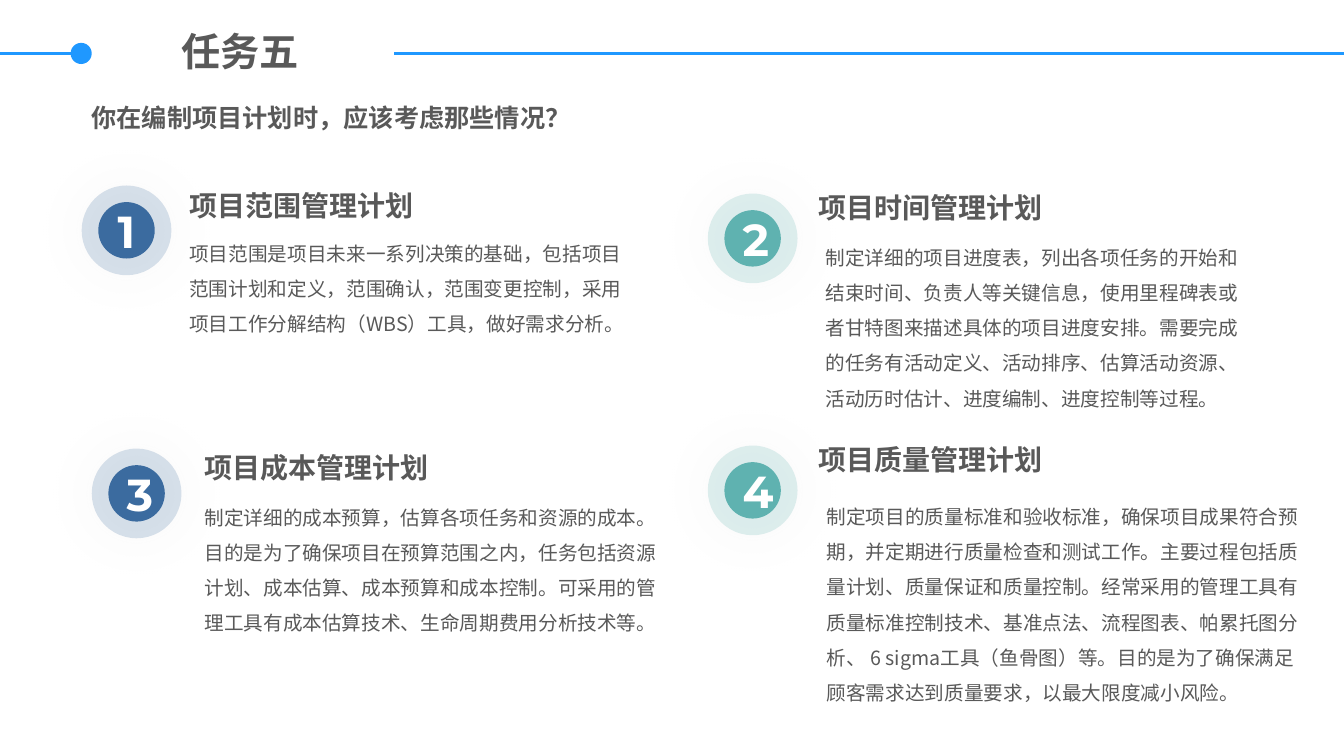
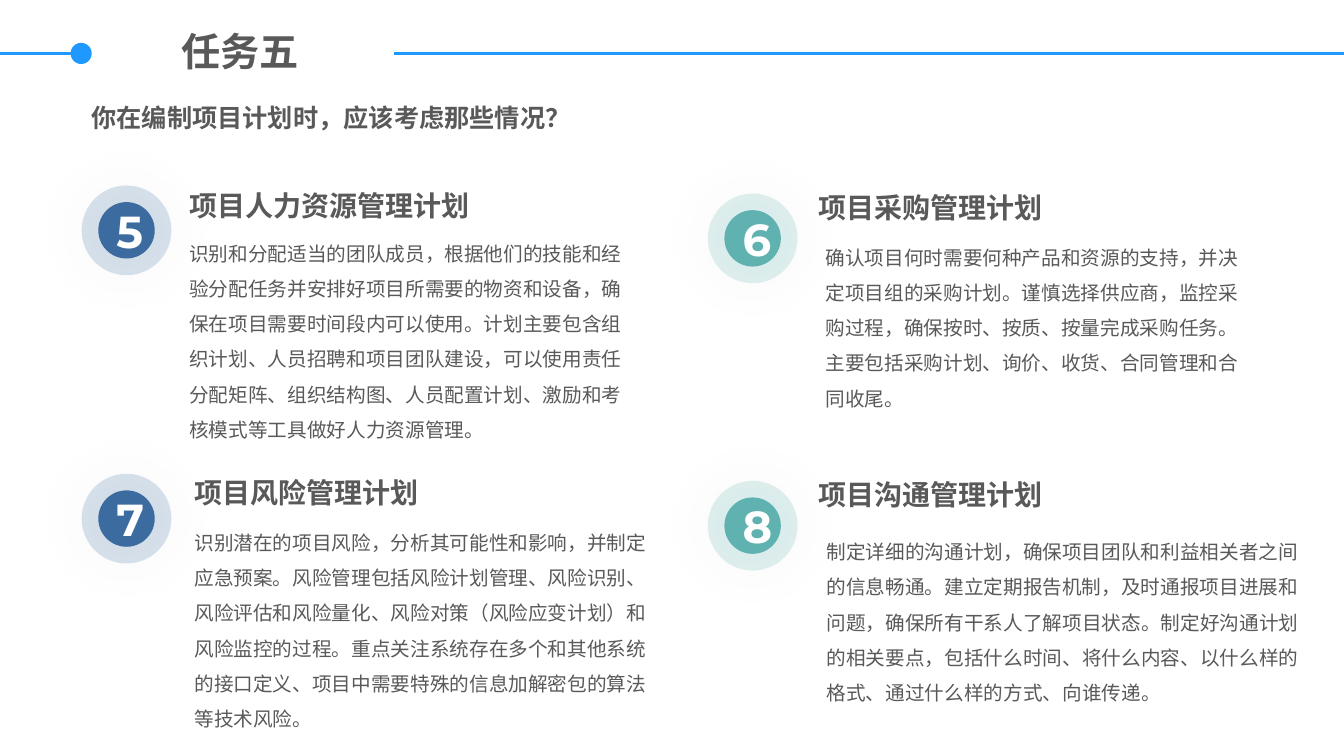
from dataclasses import dataclass

from lxml import etree
from pptx import Presentation
from pptx.dml.color import RGBColor
from pptx.enum.lang import MSO_LANGUAGE_ID
from pptx.enum.shapes import MSO_CONNECTOR, MSO_SHAPE
from pptx.enum.text import MSO_ANCHOR, MSO_AUTO_SIZE, PP_ALIGN
from pptx.oxml.ns import qn
from pptx.util import Inches, Pt

OVAL = MSO_SHAPE.OVAL
STRAIGHT = MSO_CONNECTOR.STRAIGHT
TOP, MIDDLE = MSO_ANCHOR.TOP, MSO_ANCHOR.MIDDLE
LEFT, CENTER = PP_ALIGN.LEFT, PP_ALIGN.CENTER
GROW = MSO_AUTO_SIZE.SHAPE_TO_FIT_TEXT
CHINESE = MSO_LANGUAGE_ID.SIMPLIFIED_CHINESE
TITLE_ONLY = 5

SLIDE_W, SLIDE_H = 13.33, 7.5
BAND_Y = 0.53
DOT = 0.21
RING, DISC = 0.89, 0.56
LEFT_COL, RIGHT_COL = 0.81, 7.02


@dataclass(frozen=True)
class Theme:
    text: str = "595959"
    band: str = "1F98FF"
    blue: str = "3B6B9F"
    teal: str = "5FB2B0"
    white: str = "FFFFFF"
    shadow: str = "BFBFBF"
    chinese: str = "Noto Sans CJK SC"
    digits: str = "Montserrat"
    title: int = 28
    question: int = 18
    heading: int = 20
    body: int = 14
    number: int = 32


THEME = Theme()


@dataclass(frozen=True)
class Slot:
    """Offsets of a card's texts from the top left corner of its ring."""
    colour: str
    heading_dx: float
    heading_dy: float
    body_dx: float
    body_dy: float
    body_w: float


TOP_LEFT = Slot(THEME.blue, 0.97, -0.02, 0.97, 0.39, 4.53)
TOP_RIGHT = Slot(THEME.teal, 1.0, -0.08, 1.07, 0.35, 4.43)
LOW_LEFT = Slot(THEME.blue, 1.02, -0.03, 1.02, 0.4, 4.81)
LOW_RIGHT = Slot(THEME.teal, 1.0, -0.08, 1.08, 0.42, 4.91)


@dataclass(frozen=True)
class Card:
    number: int
    slot: Slot
    left: float
    top: float
    lines: int
    heading: str
    body: str


TITLE = "任务五"
QUESTION = "你在编制项目计划时，应该考虑那些情况？"
PAGES = [
    [
        Card(1, TOP_LEFT, LEFT_COL, 1.84, 3, "项目范围管理计划",
             "项目范围是项目未来一系列决策的基础，包括项目范围计划和定义，范围确认，"
             "范围变更控制，采用项目工作分解结构（WBS）工具，做好需求分析。"),
        Card(2, TOP_RIGHT, RIGHT_COL, 1.92, 5, "项目时间管理计划",
             "制定详细的项目进度表，列出各项任务的开始和结束时间、负责人等关键信息，"
             "使用里程碑表或者甘特图来描述具体的项目进度安排。需要完成的任务有活动定义、"
             "活动排序、估算活动资源、活动历时估计、进度编制、进度控制等过程。"),
        Card(3, LOW_LEFT, LEFT_COL + 0.1, 4.45, 4, "项目成本管理计划",
             "制定详细的成本预算，估算各项任务和资源的成本。目的是为了确保项目在预算范围之内，"
             "任务包括资源计划、成本估算、成本预算和成本控制。"
             "可采用的管理工具有成本估算技术、生命周期费用分析技术等。"),
        Card(4, LOW_RIGHT, RIGHT_COL, 4.42, 6, "项目质量管理计划",
             "制定项目的质量标准和验收标准，确保项目成果符合预期，并定期进行质量检查和测试工作。"
             "主要过程包括质量计划、质量保证和质量控制。经常采用的管理工具有质量标准控制技术、"
             "基准点法、流程图表、帕累托图分析、 6 sigma工具（鱼骨图）等。"
             "目的是为了确保满足顾客需求达到质量要求，以最大限度减小风险。"),
    ],
    [
        Card(5, TOP_LEFT, LEFT_COL, 1.84, 6, "项目人力资源管理计划",
             "识别和分配适当的团队成员，根据他们的技能和经验分配任务并安排好项目所需要的物资和设备，"
             "确保在项目需要时间段内可以使用。计划主要包含组织计划、人员招聘和项目团队建设，"
             "可以使用责任分配矩阵、组织结构图、人员配置计划、激励和考核模式等工具做好人力资源管理。"),
        Card(6, TOP_RIGHT, RIGHT_COL, 1.92, 5, "项目采购管理计划",
             "确认项目何时需要何种产品和资源的支持，并决定项目组的采购计划。谨慎选择供应商，"
             "监控采购过程，确保按时、按质、按量完成采购任务。"
             "主要包括采购计划、询价、收货、合同管理和合同收尾。"),
        Card(7, LOW_LEFT, LEFT_COL, 4.7, 6, "项目风险管理计划",
             "识别潜在的项目风险，分析其可能性和影响，并制定应急预案。风险管理包括风险计划管理、"
             "风险识别、风险评估和风险量化、风险对策（风险应变计划）和风险监控的过程。"
             "重点关注系统存在多个和其他系统的接口定义、项目中需要特殊的信息加解密包的算法 等技术风险。"),
        Card(8, LOW_RIGHT, RIGHT_COL, 4.77, 5, "项目沟通管理计划",
             "制定详细的沟通计划，确保项目团队和利益相关者之间的信息畅通。建立定期报告机制，"
             "及时通报项目进展和问题，确保所有干系人了解项目状态。制定好沟通计划的相关要点，"
             "包括什么时间、将什么内容、以什么样的格式、通过什么样的方式、向谁传递。"),
    ],
]


def box(*lengths):
    return [Inches(length) for length in lengths]


def write(holder, text, size, colour=THEME.text, font=THEME.chinese,
          bold=True, align=LEFT, anchor=TOP, spacing=1.0):
    frame = holder.text_frame
    frame.text = text
    frame.vertical_anchor = anchor
    paragraph = frame.paragraphs[0]
    paragraph.alignment = align
    paragraph.line_spacing = spacing
    style = paragraph.runs[0].font
    style.size, style.bold, style.name = Pt(size), bold, font
    style.color.rgb = RGBColor.from_string(colour)
    style.language_id = CHINESE
    etree.SubElement(paragraph.runs[0]._r.rPr, qn("a:ea"), typeface=font)
    return frame


def add_text(shapes, place, text, size, wrap=True, **style):
    holder = shapes.add_textbox(*box(*place))
    frame = write(holder, text, size, **style)
    frame.word_wrap = wrap
    frame.auto_size = GROW


def add_circle(shapes, left, top, diameter, colour):
    circle = shapes.add_shape(OVAL, *box(left, top, diameter, diameter))
    circle.shadow.inherit = False
    circle.fill.solid()
    circle.fill.fore_color.rgb = RGBColor.from_string(colour)
    circle.line.fill.background()
    return circle


def soften(ring):
    """Make the ring's fill mostly clear and give it a soft halo."""
    properties = ring._element.spPr
    fill_colour = properties.find(qn("a:solidFill")).find(qn("a:srgbClr"))
    etree.SubElement(fill_colour, qn("a:alpha"), val="20000")
    halo = etree.SubElement(properties.find(qn("a:effectLst")), qn("a:outerShdw"),
                            blurRad=str(Pt(35)), dist="0", dir="0",
                            algn="ctr", rotWithShape="0")
    halo_colour = etree.SubElement(halo, qn("a:srgbClr"), val=THEME.shadow)
    etree.SubElement(halo_colour, qn("a:alpha"), val="40000")


def add_band(shapes, start, end):
    band = shapes.add_connector(STRAIGHT, *box(start, BAND_Y, end, BAND_Y))
    band.line.color.rgb = RGBColor.from_string(THEME.band)
    band.line.width = Pt(2.25)
    etree.SubElement(band._element.spPr, qn("a:effectLst"))


def add_header(slide):
    title = slide.shapes.title
    title.left, title.top, title.width, title.height = box(0.99, 0.22, 2.78, 0.57)
    frame = write(title, TITLE, THEME.title, align=CENTER)
    frame.auto_size = GROW
    add_band(slide.shapes, 0, 0.72)
    add_circle(slide.shapes, 0.7, BAND_Y - DOT / 2, DOT, THEME.band)
    add_band(slide.shapes, 3.91, SLIDE_W)
    add_text(slide.shapes, (LEFT_COL, 0.97, 5.86, 0.4), QUESTION, THEME.question)


def add_card(slide, card):
    shapes = slide.shapes.add_group_shape().shapes
    slot, left, top = card.slot, card.left, card.top
    soften(add_circle(shapes, left, top, RING, slot.colour))
    inset = (RING - DISC) / 2
    disc = add_circle(shapes, left + inset, top + inset, DISC, slot.colour)
    write(disc, str(card.number), THEME.number, THEME.white, THEME.digits,
          align=CENTER, anchor=MIDDLE)
    heading_w = 0.28 * len(card.heading) + 0.21
    add_text(shapes, (left + slot.heading_dx, top + slot.heading_dy, heading_w, 0.44),
             card.heading, THEME.heading, wrap=False)
    body_h = 0.35 * card.lines + 0.07
    add_text(shapes, (left + slot.body_dx, top + slot.body_dy, slot.body_w, body_h),
             card.body, THEME.body, bold=False, spacing=1.5)


def main():
    deck = Presentation()
    deck.slide_width, deck.slide_height = box(SLIDE_W, SLIDE_H)
    for cards in PAGES:
        slide = deck.slides.add_slide(deck.slide_layouts[TITLE_ONLY])
        add_header(slide)
        for card in cards:
            add_card(slide, card)
    deck.save("out.pptx")


if __name__ == "__main__":
    main()
